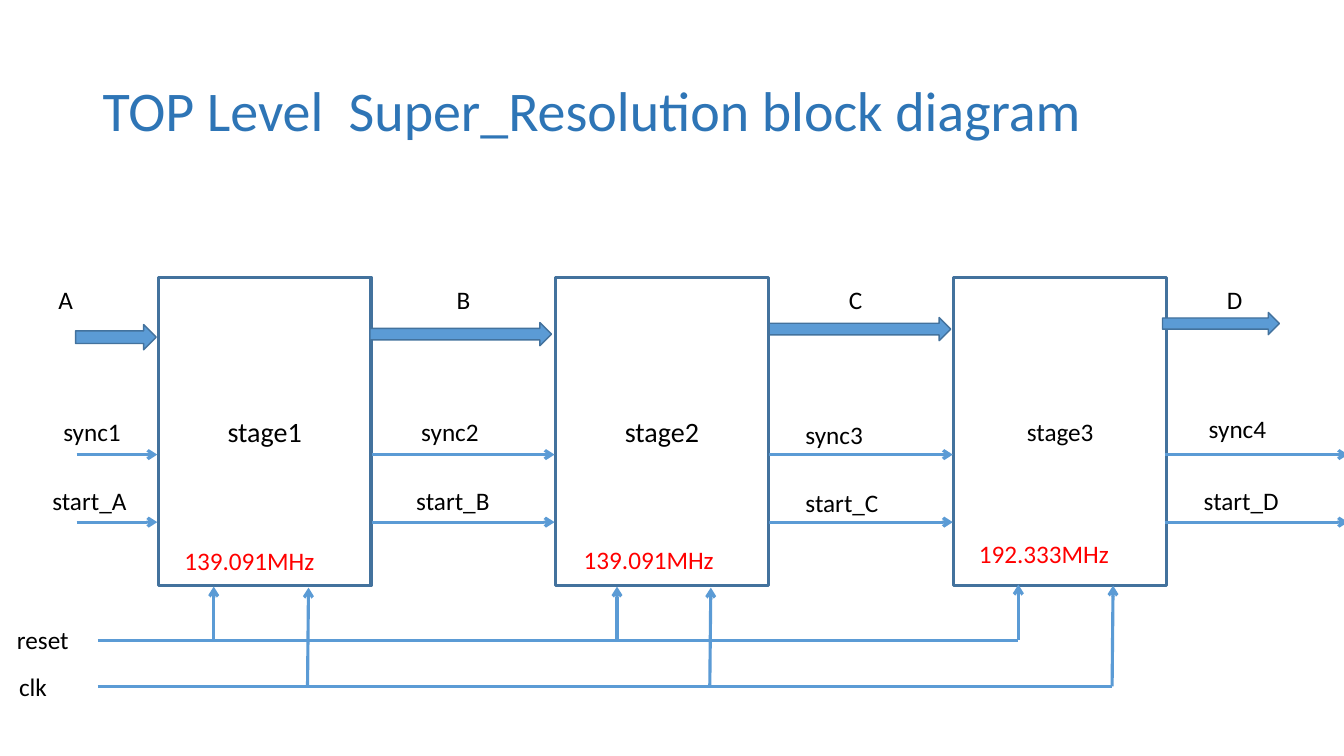
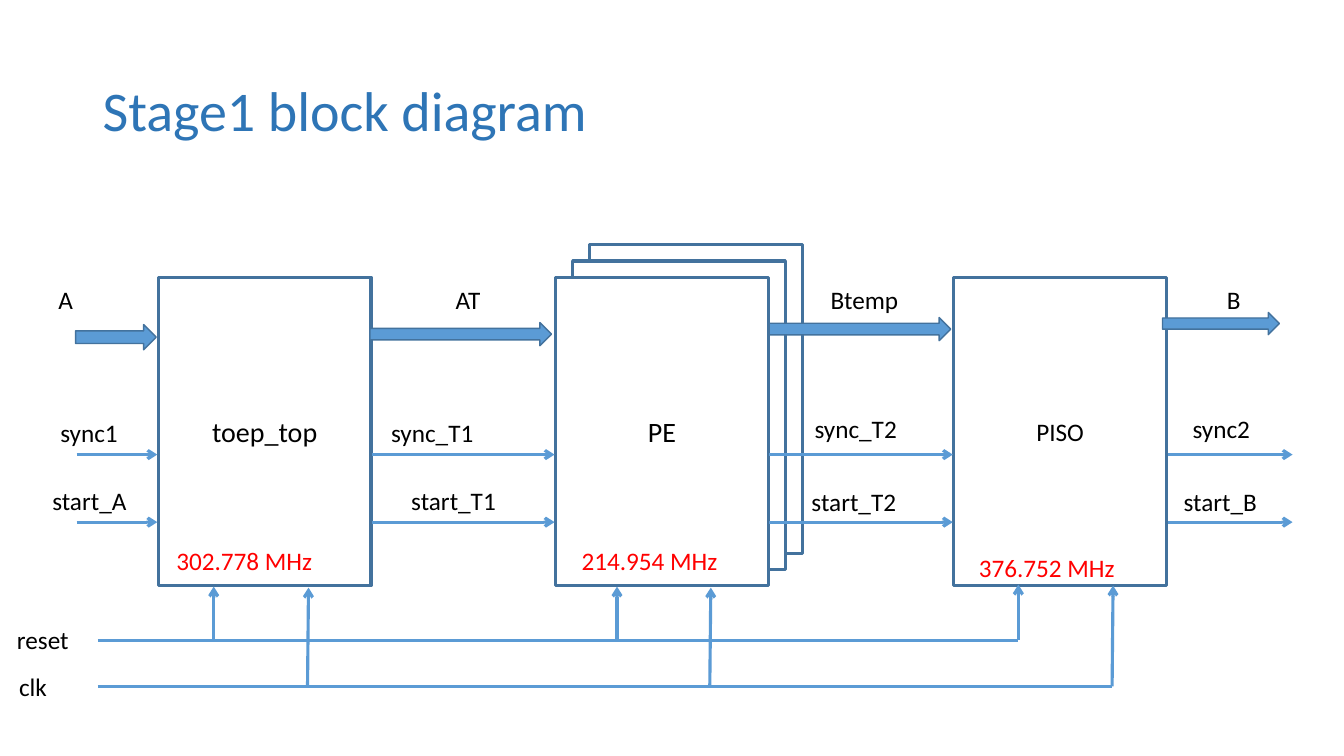
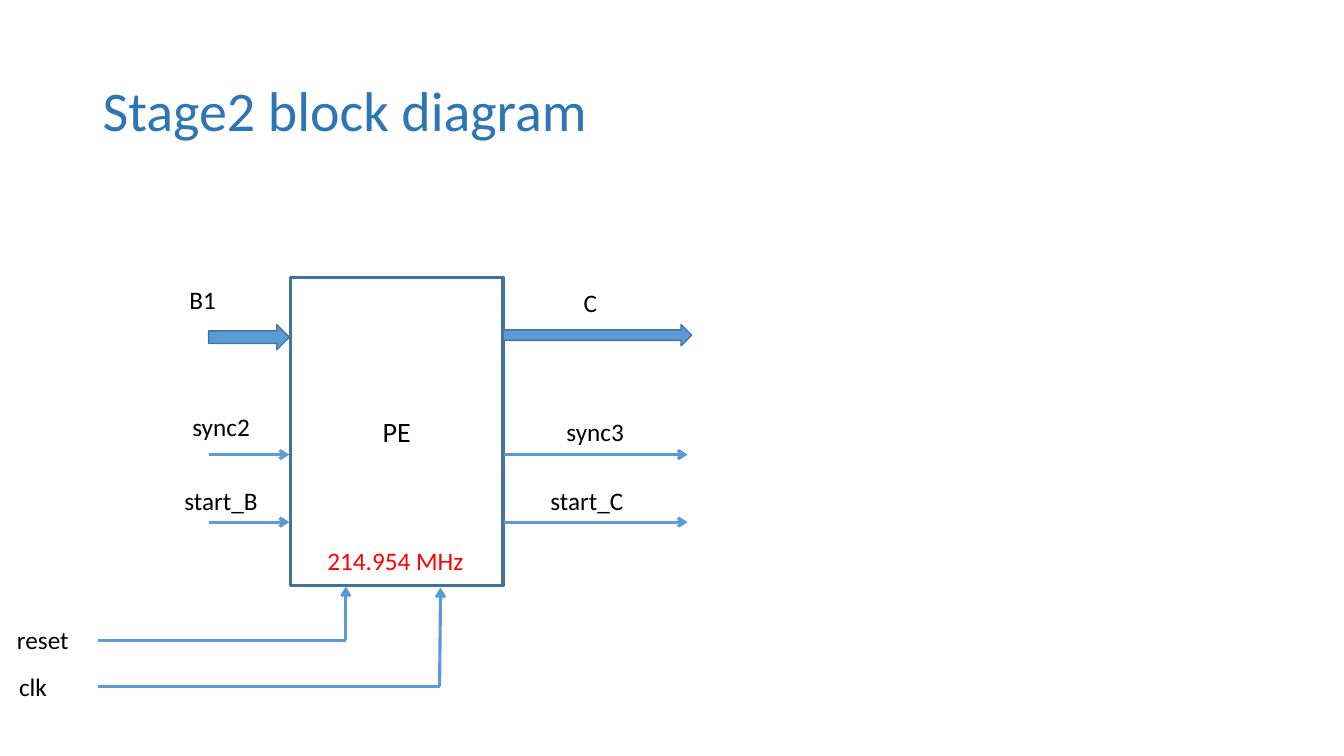
"""Build the three block diagram slides."""
from lxml.etree import SubElement
from pptx import Presentation
from pptx.dml.color import RGBColor
from pptx.enum.shapes import MSO_CONNECTOR, MSO_SHAPE
from pptx.enum.text import MSO_ANCHOR, PP_ALIGN
from pptx.oxml.ns import qn
from pptx.util import Pt

PX = 9144
BLUE = RGBColor(0x5B, 0x9B, 0xD5)
EDGE = RGBColor(0x43, 0x72, 0x9D)
HEAD = RGBColor(0x2E, 0x75, 0xB6)
RED = RGBColor(0xFF, 0x00, 0x00)
BLACK = RGBColor(0x00, 0x00, 0x00)
WHITE = RGBColor(0xFF, 0xFF, 0xFF)
TOP, WIDE, TALL = 275, 211, 306
SYNC, START = 176, 243


def scale(*sizes):
    """Turn px into EMU."""
    return [size * PX for size in sizes]


def apply(thing, values):
    """Set each named value on a thing."""
    for name, value in values.items():
        setattr(thing, name, value)


def write(frame, text, size, color, wrap=True, anchor=MSO_ANCHOR.TOP, **para):
    """Put one styled paragraph in a text frame."""
    apply(frame, {"word_wrap": wrap, "vertical_anchor": anchor})
    line = frame.paragraphs[0]
    apply(line, para)
    run = line.add_run()
    run.text = text
    apply(run.font, {"name": "Calibri", "size": Pt(size)})
    run.font.color.rgb = color


def label(slide, left, top, item, color=BLACK, wrap=False, tall=40):
    """Place a text item at its offset from a corner."""
    text, dx, dy, wide = item
    box = slide.shapes.add_textbox(*scale(left + dx, top + dy, wide, tall))
    write(box.text_frame, text, 18, color, wrap)


def shape(slide, kind, box, fill, weight):
    """Draw an outlined preset shape."""
    item = slide.shapes.add_shape(kind, *scale(*box))
    item.shadow.inherit = False
    if fill is None:
        item.fill.background()
    else:
        item.fill.solid()
        item.fill.fore_color.rgb = fill
    item.line.color.rgb = EDGE
    item.line.width = Pt(weight)
    return item


def wire(slide, x1, y1, x2, y2, arrow=True):
    """Draw a signal line, with or without an arrowhead."""
    line = slide.shapes.add_connector(
        MSO_CONNECTOR.STRAIGHT, *scale(x1, y1, x2, y2))
    line.line.color.rgb = BLUE
    line.line.width = Pt(2.25)
    props = line.element.spPr
    if arrow:
        SubElement(props.find(qn("a:ln")), qn("a:tailEnd"), type="arrow")
    SubElement(props, qn("a:effectLst"))


def title(slide, text):
    """Place the slide title."""
    box = slide.shapes.add_textbox(*scale(92, 40, 1150, 145))
    write(box.text_frame, text, 40, HEAD, anchor=MSO_ANCHOR.MIDDLE,
          line_spacing=0.9)


def block(slide, left, name, size, clock, fill=None, behind=0):
    """Draw a named block with its clock rate and any blocks behind it."""
    for step in range(behind, 0, -1):
        back = (left + 17 * step, TOP - 16 * step, WIDE, TALL)
        shape(slide, MSO_SHAPE.RECTANGLE, back, fill, 2.25)
    item = shape(slide, MSO_SHAPE.RECTANGLE, (left, TOP, WIDE, TALL),
                 fill, 2.25)
    write(item.text_frame, name, size, BLACK, anchor=MSO_ANCHOR.MIDDLE,
          alignment=PP_ALIGN.CENTER)
    label(slide, left, TOP, clock, RED, True, 70)


def link(slide, left, wide, bus, labels):
    """Draw the bus, sync and start signals in the gap beside a block."""
    dx, dy, long, tall = bus
    shape(slide, MSO_SHAPE.RIGHT_ARROW, (left + dx, TOP + dy, long, tall),
          BLUE, 1)
    for dy in (SYNC, START):
        wire(slide, left, TOP + dy, left + wide, TOP + dy)
    for item in labels:
        label(slide, left, TOP, item)


def rails(slide, left, top, taps):
    """Draw the reset and clk rails with a tap up to each block."""
    label(slide, left, top, ("reset", -90, -21, 83))
    label(slide, left, top, ("clk", -88, 26, 55))
    low = top + 46
    wire(slide, left, top, taps[-1][0], top, False)
    wire(slide, left, low, taps[-1][1], low, False)
    for reset, clock, lift in taps:
        wire(slide, reset, top, reset, top - 53 - lift)
        wire(slide, clock, low, clock + 1, top - 52 - lift)


TAPS = [(212, 305, 0), (612, 704, 0), (1010, 1103, 2)]
BUS_IN = (-1, 47, 80, 25)
BUS_ONE = (-2, 45, 180, 23)
BUS_TWO = (0, 40, 180, 23)

SLIDES = [
    ("TOP Level  Super_Resolution block diagram",
     [(157, "stage1", 20, ("139.091MHz", 16, 261, 211)),
      (551, "stage2", 20, ("139.091MHz", 18, 260, 211)),
      (946, "stage3", 18, ("192.333MHz", 15, 254, 211))],
     [(76, 80, BUS_IN, [("A", -28, 2, 37), ("sync1", -23, 133, 93),
                        ("start_A", -34, 202, 108)]),
      (369, 181, BUS_ONE, [("B", 74, 2, 37), ("sync2", 39, 133, 93),
                           ("start_B", 34, 202, 108)]),
      (763, 182, BUS_TWO, [("C", 69, 2, 37), ("sync3", 26, 136, 93),
                           ("start_C", 26, 204, 108)]),
      (1155, 182, (-2, 35, 116, 22),
       [("D", 52, 2, 39), ("sync4", 34, 130, 93),
        ("start_D", 29, 202, 110)])],
     TAPS),
    ("Stage1 block diagram",
     [(157, "toep_top", 20, ("302.778 MHz", 8, 261, 211)),
      (551, "PE", 20, ("214.954 MHz", 16, 261, 211), WHITE, 2),
      (946, "PISO", 18, ("376.752 MHz", 15, 268, 205), WHITE)],
     [(76, 80, BUS_IN, [("A", -28, 2, 37), ("sync1", -26, 134, 93),
                        ("start_A", -34, 202, 108)]),
      (369, 181, BUS_ONE, [("AT", 73, 2, 50), ("sync_T1", 9, 134, 121),
                           ("start_T1", 29, 202, 122)]),
      (763, 182, BUS_TWO, [("Btemp", 51, 2, 102), ("sync_T2", 35, 130, 121),
                           ("start_T2", 32, 203, 122)]),
      (1158, 124, (-5, 35, 116, 22),
       [("B", 49, 2, 37), ("sync2", 15, 130, 93),
        ("start_B", 6, 203, 108)])],
     TAPS),
    ("Stage2 block diagram",
     [(288, "PE", 20, ("214.954 MHz", 27, 261, 184))],
     [(207, 80, (0, 47, 80, 25),
       [("B1", -29, 2, 53), ("sync2", -26, 128, 93),
        ("start_B", -34, 202, 108)]),
      (500, 182, (-1, 47, 187, 21),
       [("C", 69, 5, 37), ("sync3", 52, 133, 93),
        ("start_C", 36, 202, 108)])],
     [(343, 436, 0)]),
]


def main():
    """Build and save the deck."""
    deck = Presentation()
    wide, tall = scale(1333, 750)
    apply(deck, {"slide_width": wide, "slide_height": tall})
    for head, blocks, links, taps in SLIDES:
        slide = deck.slides.add_slide(deck.slide_layouts[6])
        title(slide, head)
        for item in blocks:
            block(slide, *item)
        rails(slide, 97, 635, taps)
        for item in links:
            link(slide, *item)
    deck.save("out.pptx")


if __name__ == "__main__":
    main()
